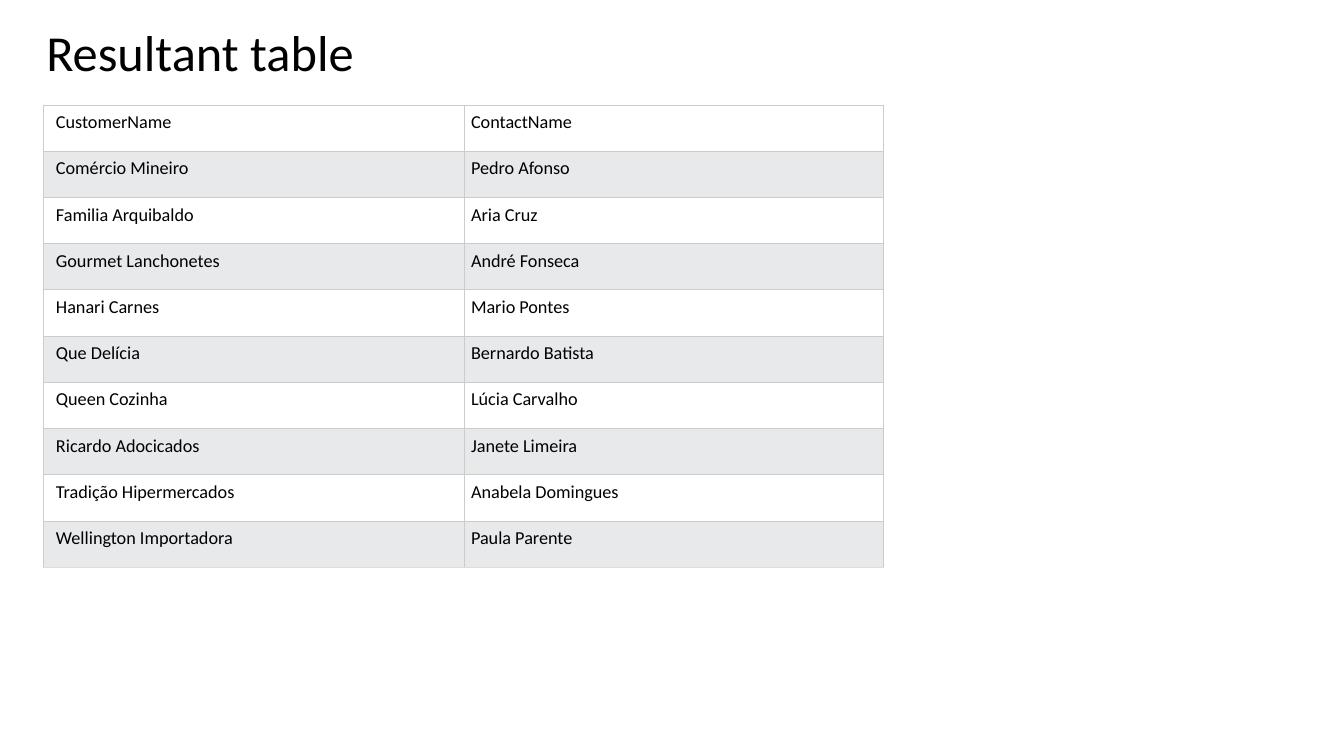
from pptx import Presentation
from pptx import util as u
from pptx.dml.color import RGBColor
from pptx.enum import text
from pptx.oxml.ns import qn
from lxml import etree

FONT = "Calibri"
COLORS = {
    "text": "000000",
    "plain_row": "FFFFFF",
    "shaded_row": "E7E9EB",
    "border": "CCCCCC",
    "bottom_border": "DDDDDD",
}
CUSTOMERS = [
    ("CustomerName", "ContactName"),
    ("Comércio Mineiro", "Pedro Afonso"),
    ("Familia Arquibaldo", "Aria Cruz"),
    ("Gourmet Lanchonetes", "André Fonseca"),
    ("Hanari Carnes", "Mario Pontes"),
    ("Que Delícia", "Bernardo Batista"),
    ("Queen Cozinha", "Lúcia Carvalho"),
    ("Ricardo Adocicados", "Janete Limeira"),
    ("Tradição Hipermercados", "Anabela Domingues"),
    ("Wellington Importadora", "Paula Parente"),
]
COLUMN_WIDTHS = (301, 299)
ROW_HEIGHT = 33.05
CELL_MARGIN = 4.5


def set_text(text_frame, words, size):
    text_frame.text = words
    font = text_frame.paragraphs[0].runs[0].font
    font.name = FONT
    font.size = u.Pt(size)
    font.color.rgb = RGBColor.from_string(COLORS["text"])


def set_borders(cell, bottom_color):
    """Draw thin lines on all four sides, placed before the cell's fill."""
    properties = cell._tc.get_or_add_tcPr()
    for position, side in enumerate(("lnL", "lnR", "lnT", "lnB")):
        line = etree.Element(qn(f"a:{side}"), w=str(u.Pt(0.75)))
        fill = etree.SubElement(line, qn("a:solidFill"))
        color = bottom_color if side == "lnB" else COLORS["border"]
        etree.SubElement(fill, qn("a:srgbClr"), val=color)
        properties.insert(position, line)


def add_title(slide, words):
    shape = slide.shapes.add_textbox(u.Pt(26), u.Pt(11.5), u.Pt(236), u.Pt(51))
    shape.text_frame.word_wrap = False
    shape.text_frame.auto_size = text.MSO_AUTO_SIZE.SHAPE_TO_FIT_TEXT
    set_text(shape.text_frame, words, 36)


def add_striped_table(slide, rows):
    table = slide.shapes.add_table(
        len(rows), len(COLUMN_WIDTHS), u.Pt(31), u.Pt(75),
        u.Pt(sum(COLUMN_WIDTHS)), u.Pt(ROW_HEIGHT * len(rows))).table
    table.first_row = False
    table.horz_banding = False
    for column, width in zip(table.columns, COLUMN_WIDTHS):
        column.width = u.Pt(width)
    for row_index, values in enumerate(rows):
        table.rows[row_index].height = u.Pt(ROW_HEIGHT)
        row_color = COLORS["shaded_row" if row_index % 2 else "plain_row"]
        is_last = row_index == len(rows) - 1
        bottom_color = COLORS["bottom_border" if is_last else "border"]
        for column_index, value in enumerate(values):
            cell = table.cell(row_index, column_index)
            cell.margin_left = u.Pt(CELL_MARGIN if column_index else 2 * CELL_MARGIN)
            cell.margin_right = u.Pt(CELL_MARGIN)
            cell.margin_top = cell.margin_bottom = u.Pt(CELL_MARGIN)
            cell.fill.solid()
            cell.fill.fore_color.rgb = RGBColor.from_string(row_color)
            set_text(cell.text_frame, value, 13)
            set_borders(cell, bottom_color)


def main():
    presentation = Presentation()
    presentation.slide_width = u.Pt(960)
    presentation.slide_height = u.Pt(540)
    slide = presentation.slides.add_slide(presentation.slide_layouts[6])
    add_striped_table(slide, CUSTOMERS)
    add_title(slide, "Resultant table")
    presentation.save("out.pptx")


if __name__ == "__main__":
    main()
